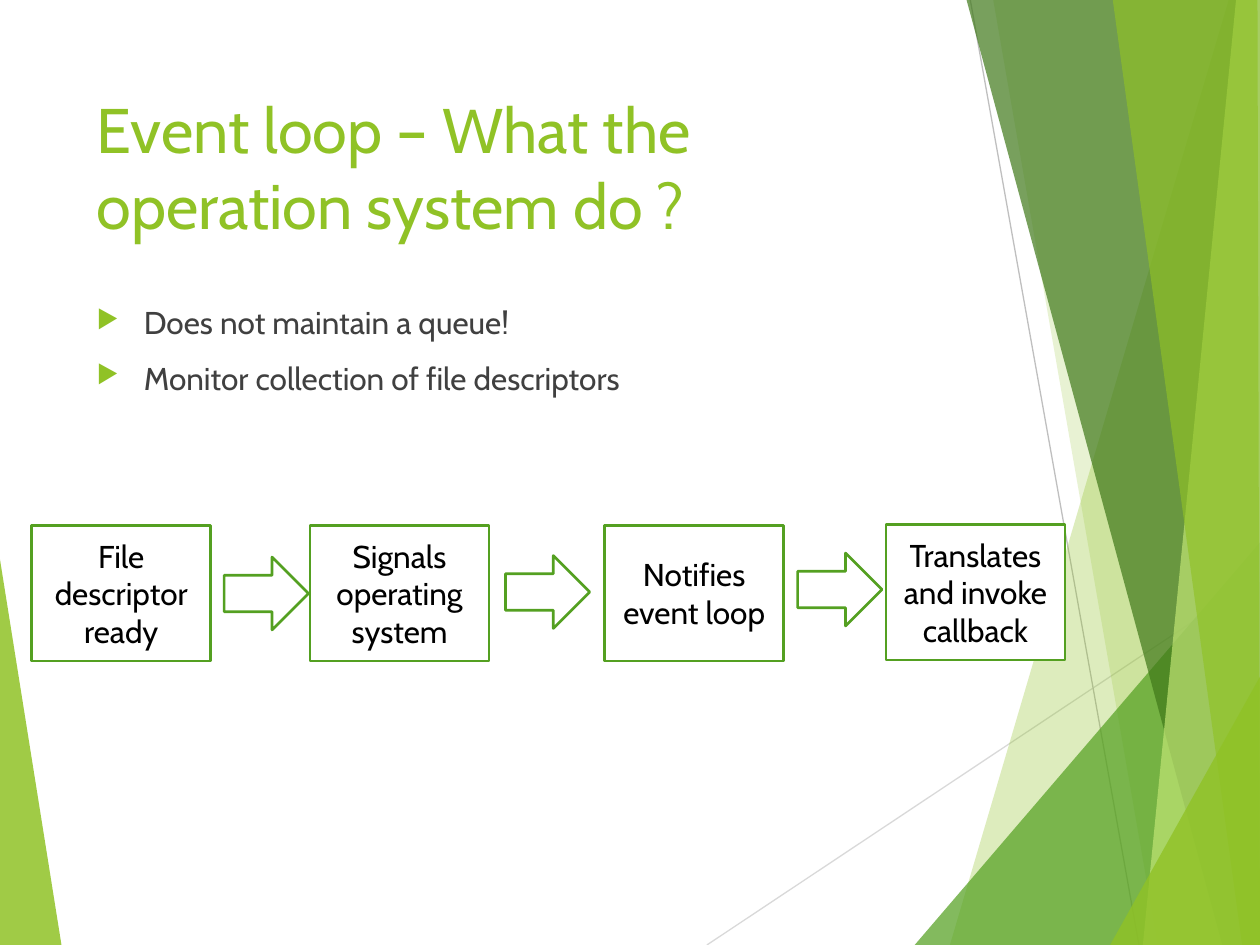
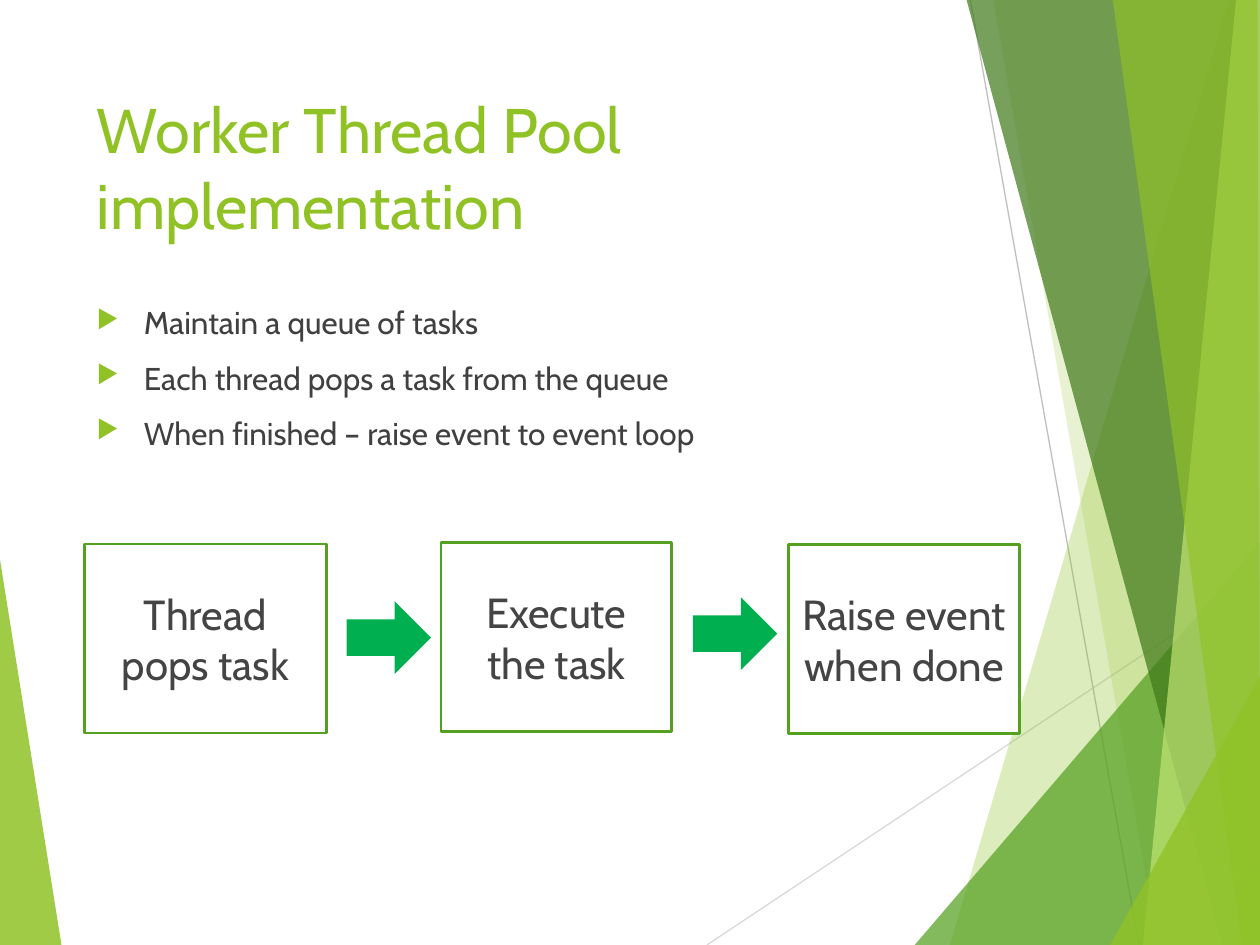
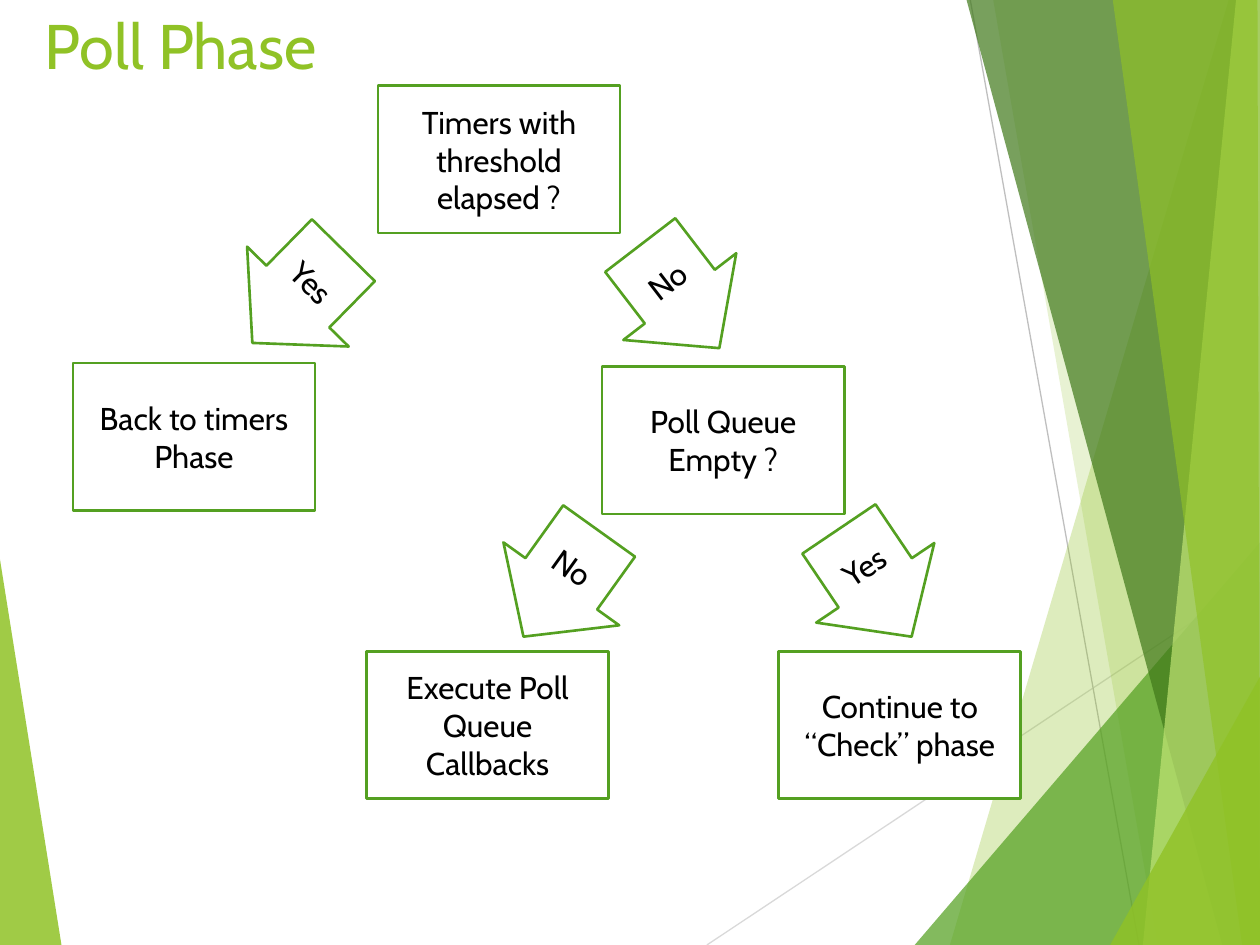
from dataclasses import dataclass
from typing import Any

from lxml.etree import SubElement
from pptx import Presentation
from pptx.dml.color import RGBColor
from pptx.enum.shapes import MSO_CONNECTOR as Link
from pptx.enum.shapes import MSO_SHAPE as Kind
from pptx.enum.text import MSO_ANCHOR as Anchor
from pptx.enum.text import MSO_AUTO_SIZE as Fit
from pptx.enum.text import PP_ALIGN as Align
from pptx.oxml.ns import qn
from pptx.util import Cm, Pt

LIME = RGBColor(0x90, 0xC2, 0x26)
LEAF = RGBColor(0x54, 0xA0, 0x21)
MOSS = RGBColor(0x3F, 0x78, 0x19)
PALE = RGBColor(0xC0, 0xE4, 0x74)
JADE = RGBColor(0x00, 0xB0, 0x50)
WHITE = RGBColor(0xFF, 0xFF, 0xFF)
BLACK = RGBColor(0x00, 0x00, 0x00)
BODY = RGBColor(0x40, 0x40, 0x40)
GREY = RGBColor(0x44, 0x44, 0x44)
MIST = RGBColor(0xD9, 0xD9, 0xD9)
ASH = RGBColor(0xBF, 0xBF, 0xBF)

FACE = "Cabin"
WIDE, HIGH = 25.4, 19.05
EDGE, TOP = 25.43, -0.02
TITLE = (1.7, 1.7, 17.63, 3.66)
LIST = (1.7, 5.99, 17.63, 10.77)

Point = tuple[float, float]
Frame = tuple[float, float, float, float]


@dataclass(frozen=True)
class Band:
    points: tuple[Point, ...]
    color: RGBColor
    alpha: int


@dataclass(frozen=True)
class Ray:
    start: Point
    end: Point
    color: RGBColor


@dataclass(frozen=True)
class Node:
    frame: Frame
    text: str = ""
    kind: Kind = Kind.RECTANGLE
    size: int = 18
    ink: RGBColor = BLACK
    fill: RGBColor = WHITE
    line: RGBColor | None = LEAF
    turn: float = 0


RAYS = (
    Ray((14.25, HIGH), (EDGE, 11.61), MIST),
    Ray((19.56, 0), (22.96, HIGH), ASH),
)
LEFT = Band(((TOP, 11.15), (1.24, HIGH), (TOP, HIGH)), LIME, 85)
BANDS = (
    Band(((24.77, 0), (19.15, HIGH), (EDGE, HIGH), (EDGE, 0)), LIME, 30),
    Band(((20.02, TOP), (23.34, HIGH), (EDGE, HIGH), (EDGE, TOP)), LIME, 20),
    Band(((18.44, HIGH), (EDGE, 10.9), (EDGE, HIGH)), LEAF, 72),
    Band(((19.48, TOP), (24.64, HIGH), (EDGE, HIGH), (EDGE, TOP)), MOSS, 70),
    Band(((24.92, TOP), (23.04, HIGH), (EDGE, HIGH), (EDGE, TOP)), PALE, 70),
    Band(((22.43, TOP), (25.04, HIGH), (WIDE, HIGH), (25.35, TOP)), LIME, 65),
    Band(((22.38, HIGH), (EDGE, 13.59), (EDGE, HIGH)), LIME, 80),
)


def put(item: Any, values: dict[str, Any]) -> None:
    for name, value in values.items():
        setattr(item, name, value)


def place(item: Any, frame: Frame) -> None:
    put(item, dict(zip(("left", "top", "width", "height"), map(Cm, frame))))


def style(para: Any, size: int, ink: RGBColor) -> None:
    put(para.font, {"name": FACE, "size": Pt(size)})
    para.font.color.rgb = ink


def paint(shape: Any, fill: RGBColor, line: RGBColor | None) -> None:
    shape.shadow.inherit = False
    shape.fill.solid()
    shape.fill.fore_color.rgb = fill
    if line is None:
        shape.line.fill.background()
    else:
        shape.line.color.rgb = line
        shape.line.width = Pt(1.5)


def draw_band(slide: Any, band: Band) -> None:
    spots = [(Cm(x), Cm(y)) for x, y in band.points]
    pen = slide.shapes.build_freeform(*spots[0])
    pen.add_line_segments(spots[1:], close=True)
    shape = pen.convert_to_shape()
    paint(shape, band.color, None)
    tint = shape.element.spPr.find(qn("a:solidFill"))[0]
    SubElement(tint, qn("a:alpha"), val=str(band.alpha * 1000))


def draw_ray(slide: Any, ray: Ray) -> None:
    ends = map(Cm, ray.start + ray.end)
    wire = slide.shapes.add_connector(Link.STRAIGHT, *ends)
    wire.line.color.rgb = ray.color
    wire.line.width = Pt(0.75)
    SubElement(wire.element.spPr, qn("a:effectLst"))


def dress(layout: Any, slide: Any) -> None:
    tree = layout.element.cSld.spTree
    for holder in list(layout.placeholders):
        if holder.placeholder_format.idx:
            tree.remove(holder.element)
    draw_band(slide, LEFT)
    for ray in RAYS:
        draw_ray(slide, ray)
    for band in BANDS:
        draw_band(slide, band)
    for shape in list(slide.shapes):
        if not shape.is_placeholder:
            tree.append(shape.element)


def set_title(slide: Any, text: str, frame: Frame) -> None:
    title = slide.shapes.title
    place(title, frame)
    body = title.text_frame
    body.text = text
    put(body, {"word_wrap": True, "auto_size": Fit.NONE,
               "vertical_anchor": Anchor.TOP})
    para = body.paragraphs[0]
    para.alignment = Align.LEFT
    style(para, 36, LIME)


def add_list(slide: Any, lines: tuple[str, ...]) -> None:
    body = slide.shapes.add_textbox(*map(Cm, LIST)).text_frame
    body.word_wrap = True
    body.text = "\n".join(lines)
    for para in body.paragraphs:
        style(para, 18, BODY)
        para.space_before = Pt(10)
        props = para._p.get_or_add_pPr()
        props.set("marL", str(Cm(0.95)))
        props.set("indent", str(-Cm(0.95)))
        tint = SubElement(props, qn("a:buClr"))
        SubElement(tint, qn("a:srgbClr"), val=str(LIME))
        SubElement(props, qn("a:buSzPct"), val="80000")
        SubElement(props, qn("a:buChar"), char="▶")


def draw_node(slide: Any, node: Node) -> None:
    shape = slide.shapes.add_shape(node.kind, *map(Cm, node.frame))
    paint(shape, node.fill, node.line)
    shape.rotation = node.turn
    if node.kind == Kind.DOWN_ARROW:
        shape.adjustments[0] = 0.62
    if node.text:
        body = shape.text_frame
        body.text = node.text
        put(body, {"word_wrap": True, "vertical_anchor": Anchor.MIDDLE})
        para = body.paragraphs[0]
        para.alignment = Align.CENTER
        style(para, node.size, node.ink)


def arrow(x: float, y: float, fill: RGBColor, line: RGBColor | None) -> Node:
    return Node((x, y, 1.7, 1.47), kind=Kind.RIGHT_ARROW, fill=fill, line=line)


def step(x: float, y: float, text: str) -> Node:
    return Node((x, y, 3.61, 2.74), text)


def task(x: float, y: float, wide: float, text: str) -> Node:
    return Node((x, y, wide, 3.81), text, size=24, ink=GREY)


def stage(x: float, y: float, text: str) -> Node:
    return Node((x, y, 4.88, 2.97), text)


def branch(x: float, y: float, turn: float, text: str) -> Node:
    return Node((x, y, 2.87, 2.62), text, Kind.DOWN_ARROW, turn=turn)


@dataclass(frozen=True)
class Page:
    title: str
    nodes: tuple[Node, ...]
    lines: tuple[str, ...] = ()
    frame: Frame = TITLE


PAGES = (
    Page(
        "Event loop – What the operation system do ?",
        (
            step(0.64, 10.59, "File descriptor ready"),
            step(6.25, 10.59, "Signals operating system"),
            step(12.19, 10.59, "Notifies event loop"),
            step(17.86, 10.57, "Translates and invoke callback"),
            arrow(4.52, 11.23, WHITE, LEAF),
            arrow(10.19, 11.2, WHITE, LEAF),
            arrow(16.08, 11.15, WHITE, LEAF),
        ),
        (
            "Does not maintain a queue!",
            "Monitor collection of file descriptors",
        ),
    ),
    Page(
        "Worker Thread Pool implementation",
        (
            task(1.7, 10.97, 4.88, "Thread pops task"),
            task(8.89, 10.94, 4.65, "Execute the task"),
            task(15.9, 10.98, 4.65, "Raise event when done"),
            arrow(6.99, 12.12, JADE, None),
            arrow(13.97, 12.04, JADE, None),
        ),
        (
            "Maintain a queue of tasks",
            "Each thread pops a task from the queue",
            "When finished – raise event to event loop",
        ),
    ),
    Page(
        "Poll Phase",
        (
            stage(7.62, 1.73, "Timers with threshold elapsed ?"),
            branch(4.57, 4.67, 44.5, "Yes"),
            stage(1.47, 7.32, "Back to timers Phase"),
            stage(12.14, 7.39, "Poll Queue Empty ?"),
            branch(9.88, 10.46, 35.6, "No"),
            stage(7.39, 13.13, "Execute Poll Queue Callbacks"),
            stage(15.7, 13.13, "Continue to “Check” phase"),
            branch(12.27, 4.67, 322.5, "No"),
            branch(16.21, 10.44, 326, "Yes"),
        ),
        frame=(0.64, 0, 22.86, 3.18),
    ),
)


def main() -> None:
    deck = Presentation()
    put(deck, {"slide_width": Cm(WIDE), "slide_height": Cm(HIGH)})
    layout = deck.slide_layouts[5]
    slides = [deck.slides.add_slide(layout) for _ in PAGES]
    dress(layout, slides[0])
    for slide, page in zip(slides, PAGES):
        set_title(slide, page.title, page.frame)
        if page.lines:
            add_list(slide, page.lines)
        for node in page.nodes:
            draw_node(slide, node)
    deck.save("out.pptx")


if __name__ == "__main__":
    main()
